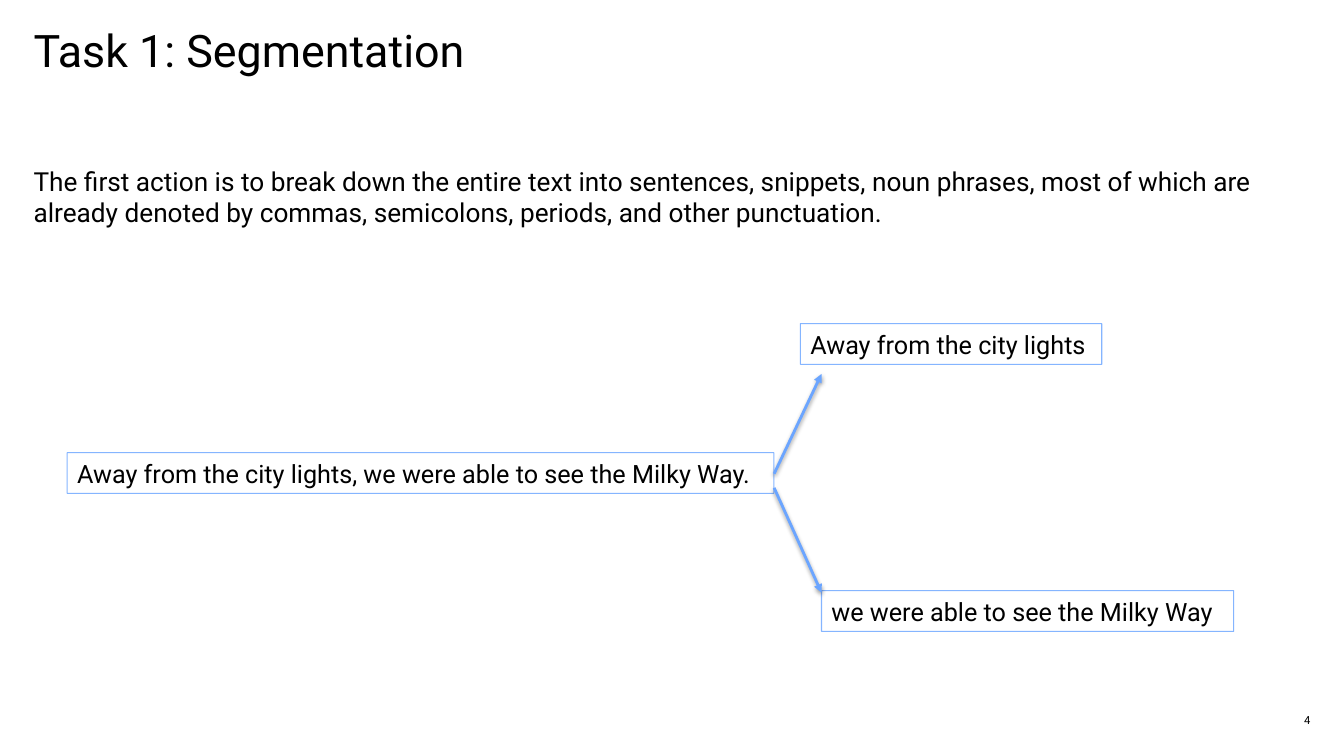
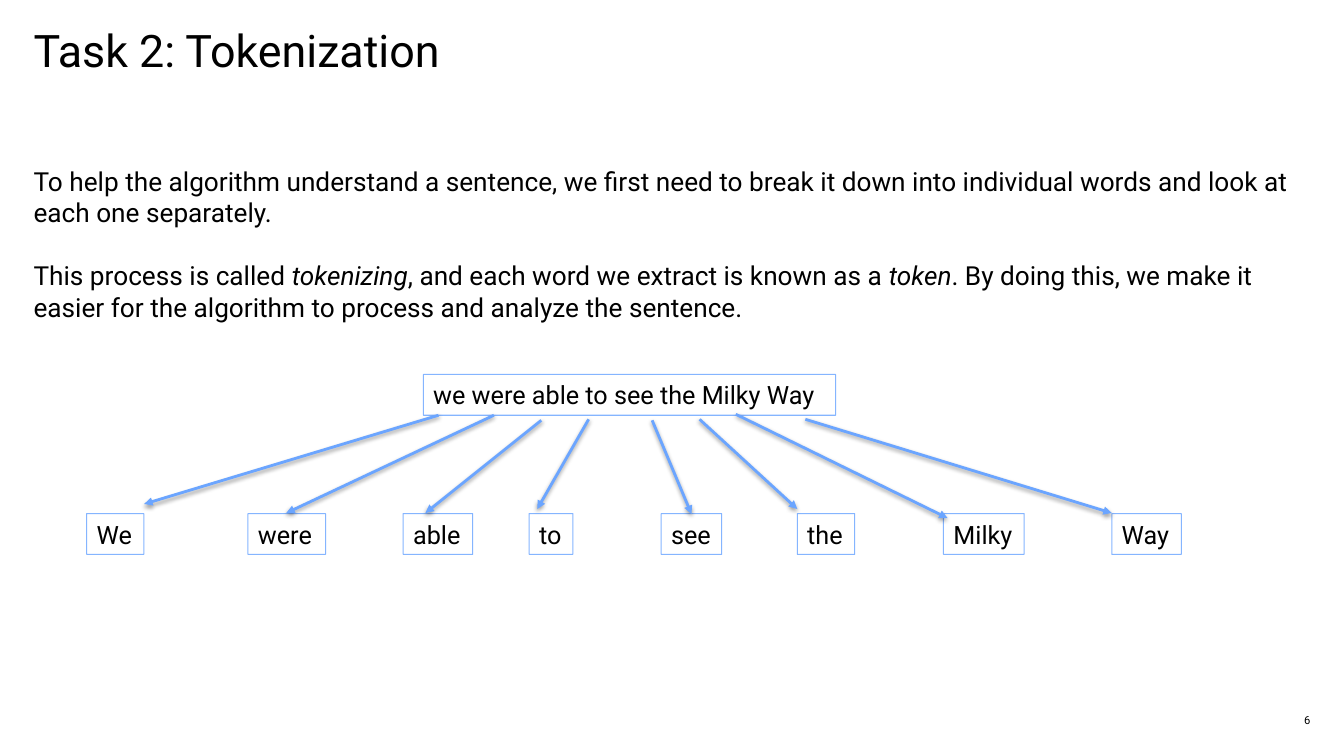
"""Build two slides on splitting text into segments and tokens."""
from dataclasses import dataclass

from lxml import etree
from pptx import Presentation
from pptx.dml.color import RGBColor
from pptx.enum.shapes import MSO_CONNECTOR, MSO_SHAPE
from pptx.enum.text import MSO_ANCHOR, PP_ALIGN
from pptx.oxml import parse_xml
from pptx.oxml.ns import qn
from pptx.util import Inches, Pt

RECTANGLE = MSO_SHAPE.RECTANGLE
STRAIGHT = MSO_CONNECTOR.STRAIGHT
TOP, MIDDLE = MSO_ANCHOR.TOP, MSO_ANCHOR.MIDDLE
LEFT, RIGHT = PP_ALIGN.LEFT, PP_ALIGN.RIGHT


@dataclass(frozen=True)
class Theme:
    font: str = "Roboto"
    ink: RGBColor = RGBColor(0x00, 0x00, 0x00)
    accent: RGBColor = RGBColor(0x6B, 0xA5, 0xFF)
    title_size: float = 32
    body_size: float = 18.7
    phrase_size: float = 18
    number_size: float = 8
    paragraph_gap: float = 22.3
    outline_width: float = 0.75
    outline_alpha: int = 82000
    arrow_width: float = 2


THEME = Theme()
SLIDE_WIDTH, SLIDE_HEIGHT = Inches(13.33), Inches(7.5)
COLUMN, ROW = SLIDE_WIDTH / 40, SLIDE_HEIGHT / 30

TITLE_AREA = (1, 1.16, 18, 5)
BODY_AREA = (1, 6.56, 38, 20.92)
NUMBER_AREA = (30, 28.16, 9, 0.8)
PHRASE_HEIGHT = 1.62
PHRASE_WIDTH = 12.27
TOKEN_TOP = 20.38

ARROW_SHADOW = """
<a:effectLst xmlns:a="http://schemas.openxmlformats.org/drawingml/2006/main">
  <a:outerShdw blurRad="40000" dist="20000" dir="5400000" rotWithShape="0">
    <a:srgbClr val="000000"><a:alpha val="38000"/></a:srgbClr>
  </a:outerShdw>
</a:effectLst>"""

TOKENS = [
    ("We", 2.58, 1.7, (13.05, 16.48), (4.29, 20)),
    ("were", 7.38, 2.31, (14.7, 16.48), (8.52, 20.36)),
    ("able", 12, 2.07, (16.11, 16.68), (12.66, 20.36)),
    ("to", 15.75, 1.3, (17.52, 16.64), (15.99, 20.2)),
    ("see", 19.68, 1.8, (19.41, 16.68), (20.58, 20.4)),
    ("the", 23.73, 1.71, (20.82, 16.64), (23.73, 20.2)),
    ("Milky", 28.08, 2.4, (21.9, 16.44), (28.2, 20.56)),
    ("Way", 33.09, 2.07, (23.97, 16.64), (33.09, 20.36)),
]

SLIDES = [
    {
        "title": "Task 1: Segmentation",
        "number": "4",
        "body": [
            [("The first action is to break down the entire text into sentences, "
              "snippets, noun phrases, most of which are already denoted by commas, "
              "semicolons, periods, and other punctuation.", False)],
        ],
        "phrases": [
            ("Away from the city lights, we were able to see the Milky Way.", 2, 17.96, 21.03),
            ("we were able to see the Milky Way", 24.45, 23.44, PHRASE_WIDTH),
            ("Away from the city lights", 23.82, 12.84, 8.97),
        ],
        "arrows": [
            ((23.04, 18.8), (24.45, 14.84)),
            ((23.04, 19.36), (24.45, 23.52)),
        ],
    },
    {
        "title": "Task 2: Tokenization",
        "number": "6",
        "body": [
            [("To help the algorithm understand a sentence, we first need to break it "
              "down into individual words and look at each one separately.", False)],
            [("This process is called ", False),
             ("tokenizing", True),
             (", and each word we extract is known as a ", False),
             ("token", True),
             (". By doing this, we make it easier for the algorithm to process and "
              "analyze the sentence.", False)],
        ],
        "phrases": [("we were able to see the Milky Way", 12.6, 14.86, PHRASE_WIDTH)]
        + [(word, left, TOKEN_TOP, width) for word, left, width, _, _ in TOKENS],
        "arrows": [(start, end) for _, _, _, start, end in TOKENS],
    },
]


def on_grid(columns, rows):
    return round(columns * COLUMN), round(rows * ROW)


def write_text(shape, paragraphs, size, align=LEFT, anchor=TOP, inset=0, spacing=1.0):
    frame = shape.text_frame
    frame.word_wrap = True
    frame.vertical_anchor = anchor
    frame.margin_left = inset
    frame.margin_right = frame.margin_top = frame.margin_bottom = 0
    for index, runs in enumerate(paragraphs):
        paragraph = frame.add_paragraph() if index else frame.paragraphs[0]
        paragraph.alignment = align
        paragraph.line_spacing = spacing
        paragraph.space_before = Pt(THEME.paragraph_gap if index else 0)
        for text, italic in runs:
            run = paragraph.add_run()
            run.text = text
            run.font.name = THEME.font
            run.font.size = Pt(size)
            run.font.italic = italic
            run.font.color.rgb = THEME.ink


presentation = Presentation()
presentation.slide_width, presentation.slide_height = SLIDE_WIDTH, SLIDE_HEIGHT
blank_layout = presentation.slide_layouts[6]

for content in SLIDES:
    slide = presentation.slides.add_slide(blank_layout)

    for area, paragraphs, size, align, anchor, spacing in [
        (TITLE_AREA, [[(content["title"], False)]], THEME.title_size, LEFT, TOP, 0.9),
        (NUMBER_AREA, [[(content["number"], False)]], THEME.number_size, RIGHT, MIDDLE, 1.0),
        (BODY_AREA, content["body"], THEME.body_size, LEFT, TOP, 1.0),
    ]:
        shape = slide.shapes.add_textbox(*on_grid(*area[:2]), *on_grid(*area[2:]))
        write_text(shape, paragraphs, size, align, anchor, spacing=spacing)

    for phrase, left, top, width in content["phrases"]:
        shape = slide.shapes.add_shape(
            RECTANGLE, *on_grid(left, top), *on_grid(width, PHRASE_HEIGHT))
        shape.shadow.inherit = False
        shape.fill.background()
        shape.line.color.rgb = THEME.accent
        shape.line.width = Pt(THEME.outline_width)
        outline_color = shape.line.fill._xPr.find(".//" + qn("a:srgbClr"))
        etree.SubElement(outline_color, qn("a:alpha"), val=str(THEME.outline_alpha))
        write_text(shape, [[(phrase, False)]], THEME.phrase_size,
                   anchor=MIDDLE, inset=Inches(0.1))

    for start, end in content["arrows"]:
        arrow = slide.shapes.add_connector(STRAIGHT, *on_grid(*start), *on_grid(*end))
        arrow.line.color.rgb = THEME.accent
        arrow.line.width = Pt(THEME.arrow_width)
        properties = arrow._element.spPr
        etree.SubElement(properties.find(qn("a:ln")), qn("a:tailEnd"), type="triangle")
        properties.append(parse_xml(ARROW_SHADOW))

presentation.save("out.pptx")
